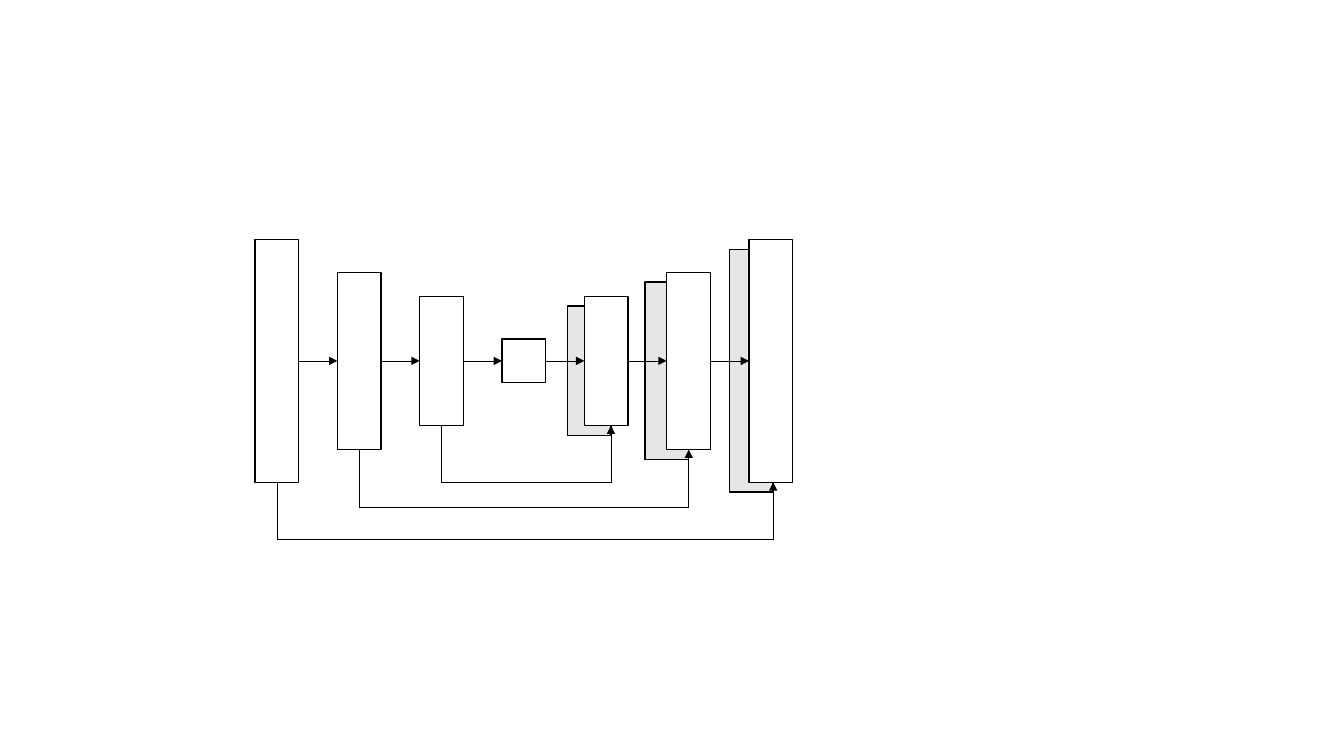
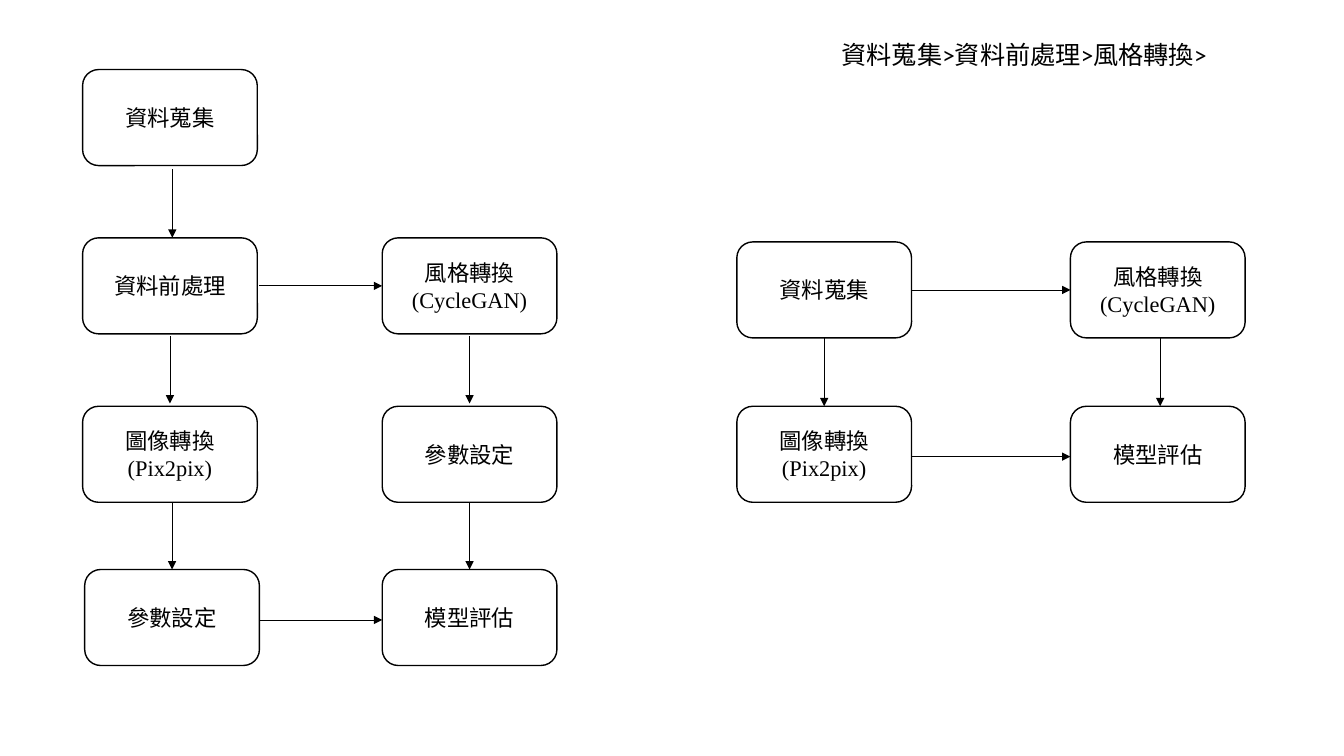
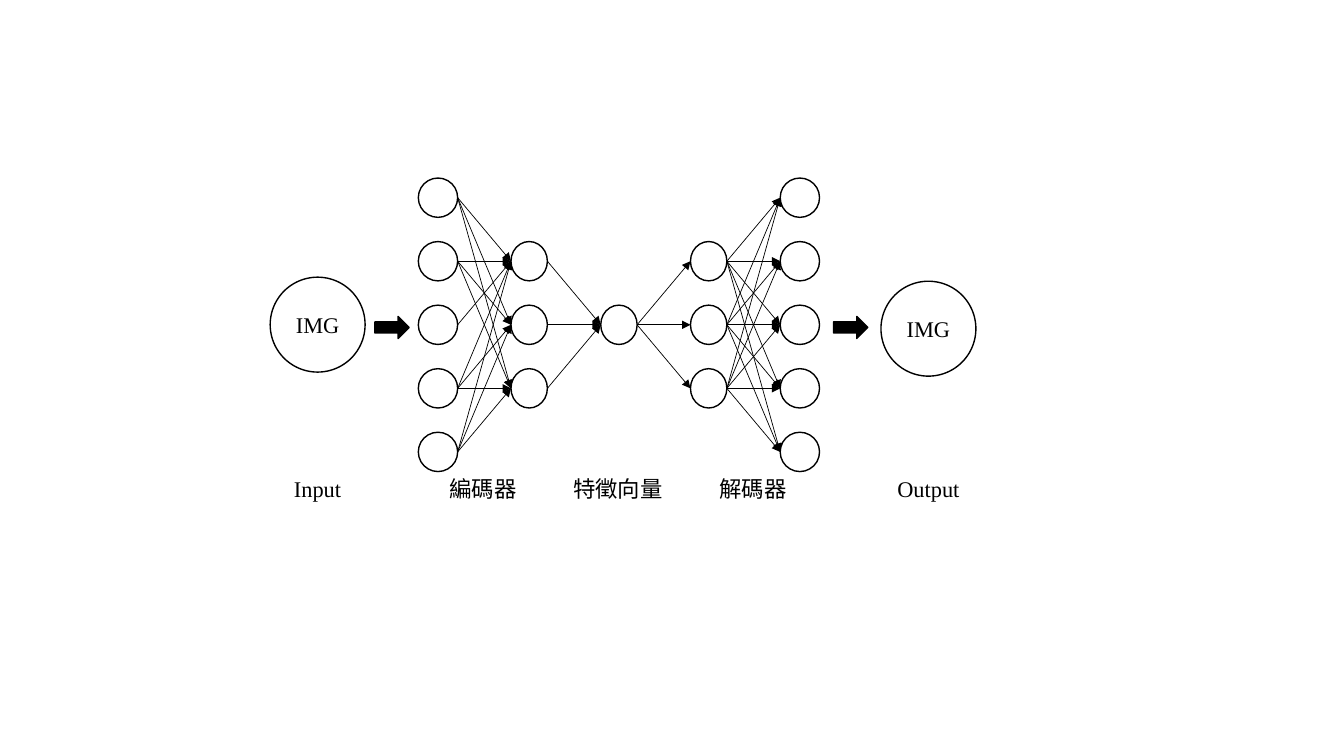
"""Build three diagram slides: skip-connected layers, two workflows and an autoencoder."""
from dataclasses import dataclass
from itertools import pairwise, product

from pptx import Presentation
from pptx.dml.color import RGBColor
from pptx.enum.shapes import MSO_CONNECTOR, MSO_SHAPE
from pptx.enum.text import MSO_ANCHOR, PP_ALIGN
from pptx.oxml.ns import qn
from pptx.util import Pt
from lxml.etree import SubElement


@dataclass(frozen=True)
class Theme:
    ink: RGBColor = RGBColor(0x00, 0x00, 0x00)
    paper: RGBColor = RGBColor(0xFF, 0xFF, 0xFF)
    shade: RGBColor = RGBColor(0xE7, 0xE6, 0xE6)
    latin: str = "Times New Roman"
    chinese: str = "Noto Sans CJK SC"
    note: str = "Calibri"
    body_size: int = 16
    note_size: int = 18
    outline: float = 1
    arrow: float = 0.5


THEME = Theme()

LAYER_HEIGHTS = [173.5, 126.7, 92.2, 31.2, 92.2, 126.7, 173.5]
LAYER_LEFT, LAYER_PITCH, LAYER_WIDTH, LAYER_MIDDLE = 182.2, 58.8, 31.2, 257.8
COPY_SHIFTS = {4: 12.2, 5: 15.4, 6: 13.9}
COPY_DROP, SKIP_DROP = 7, 41

STEP_WIDTH, STEP_HEIGHT = 124.8, 68.6
STYLE_STEP, IMAGE_STEP = "風格轉換\n(CycleGAN)", "圖像轉換\n(Pix2pix)"
STEPS = {
    "collect": ("資料蒐集", 59, 49.7),
    "prepare": ("資料前處理", 59, 169.9),
    "image": (IMAGE_STEP, 59, 290.2),
    "image settings": ("參數設定", 60.5, 406.8),
    "style": (STYLE_STEP, 273, 169.9),
    "style settings": ("參數設定", 273, 290.2),
    "evaluate": ("模型評估", 273, 406.8),
    "short collect": ("資料蒐集", 526.3, 172.8),
    "short style": (STYLE_STEP, 764.6, 172.8),
    "short image": (IMAGE_STEP, 526.3, 290.2),
    "short evaluate": ("模型評估", 764.6, 290.2),
}
DOWN_LINKS = [
    ("collect", "prepare", 1.7, 2.7, 0),
    ("prepare", "image", 0, 1.5, 2),
    ("image", "image settings", 1.7, 0, 0),
    ("style", "style settings", 0, 1.5, 2),
    ("style settings", "evaluate", 0, 0, 0),
    ("short collect", "short image", 0, 0, 0),
    ("short style", "short evaluate", 1.7, 0, 0),
]
ACROSS_LINKS = [
    ("prepare", "style", 0, 1.3, 0),
    ("image settings", "evaluate", 1.7, 0, 0),
    ("short collect", "short style", 0, 0, 0),
    ("short image", "short evaluate", 1.7, 0, 0),
]
NOTE = ("資料蒐集>資料前處理>風格轉換>", 594, 24.5, 278, 29)

NEURON_COLUMNS = [(298.8, 28.1, 5), (365, 26, 3), (429.1, 26, 1), (493.2, 26, 3), (557.3, 28.1, 5)]
NEURON_HEIGHT, NEURON_PITCH, NEURON_MIDDLE = 28.1, 45.4, 232
UNLINKED = {(0, 2, 1), (0, 2, 2)}
IMAGES = [(193, 198), (629.3, 200.9)]
IMAGE_SIZE = 67.8
BLOCK_ARROWS = [267.8, 595.4]
LABELS = [
    ("Input", 226.8, THEME.latin),
    ("編碼器", 345, THEME.chinese),
    ("特徵向量", 441.5, THEME.chinese),
    ("解碼器", 538, THEME.chinese),
    ("Output", 663.2, THEME.latin),
]
LABEL_TOP, LABEL_WIDTH, LABEL_HEIGHT = 335.5, 100, 26.6


def set_text(shape, text, font, size, align=PP_ALIGN.CENTER):
    frame = shape.text_frame
    frame.word_wrap = True
    frame.text = text
    for para in frame.paragraphs:
        para.alignment = align
        for span in para.runs:
            span.font.name = font
            span.font.size = Pt(size)
            span.font.color.rgb = THEME.ink


def add_box(slide, kind, left, top, width, height, fill=THEME.paper, text=None):
    box = slide.shapes.add_shape(kind, Pt(left), Pt(top), Pt(width), Pt(height))
    box.shadow.inherit = False
    box.fill.solid()
    box.fill.fore_color.rgb = fill
    box.line.color.rgb = THEME.ink
    box.line.width = Pt(THEME.outline)
    if text:
        set_text(box, text, THEME.latin, THEME.body_size)
        box.text_frame.vertical_anchor = MSO_ANCHOR.MIDDLE


def add_label(slide, text, left, top, width, height, font, size, align=PP_ALIGN.CENTER):
    label = slide.shapes.add_textbox(Pt(left), Pt(top), Pt(width), Pt(height))
    set_text(label, text, font, size, align)


def add_line(slide, start, end, head=True):
    line = slide.shapes.add_connector(MSO_CONNECTOR.STRAIGHT, *(Pt(value) for value in (*start, *end)))
    line.line.color.rgb = THEME.ink
    line.line.width = Pt(THEME.arrow)
    if head:
        SubElement(line.line._get_or_add_ln(), qn("a:tailEnd"), type="triangle")
    SubElement(line._element.spPr, qn("a:effectLst"))


def build_layers(slide):
    lefts = [LAYER_LEFT + LAYER_PITCH * index for index in range(len(LAYER_HEIGHTS))]
    for index, (left, height) in enumerate(zip(lefts, LAYER_HEIGHTS)):
        top = LAYER_MIDDLE - height / 2
        if index in COPY_SHIFTS:
            add_box(slide, MSO_SHAPE.RECTANGLE, left - COPY_SHIFTS[index], top + COPY_DROP,
                    LAYER_WIDTH, height, THEME.shade)
        add_box(slide, MSO_SHAPE.RECTANGLE, left, top, LAYER_WIDTH, height)
    for left, following in pairwise(lefts):
        add_line(slide, (left + LAYER_WIDTH, LAYER_MIDDLE), (following, LAYER_MIDDLE))
    for index, shift in COPY_SHIFTS.items():
        start = lefts[-1 - index] + LAYER_WIDTH / 2
        end = lefts[index] - shift + LAYER_WIDTH
        bottom = LAYER_MIDDLE + LAYER_HEIGHTS[index] / 2
        low = bottom + SKIP_DROP
        add_line(slide, (start, bottom), (start, low), head=False)
        add_line(slide, (start, low), (end, low), head=False)
        add_line(slide, (end, low), (end, bottom))


def build_workflows(slide):
    for text, left, top in STEPS.values():
        add_box(slide, MSO_SHAPE.ROUNDED_RECTANGLE, left, top, STEP_WIDTH, STEP_HEIGHT, text=text)
    for source, target, shift, start_gap, end_gap in DOWN_LINKS:
        _, left, top = STEPS[source]
        x = left + STEP_WIDTH / 2 + shift
        if source == "image":
            x = STEPS[target][1] + STEP_WIDTH / 2
        add_line(slide, (x, top + STEP_HEIGHT + start_gap), (x, STEPS[target][2] - end_gap))
    for source, target, shift, start_gap, end_gap in ACROSS_LINKS:
        _, left, top = STEPS[source]
        y = top + STEP_HEIGHT / 2 + shift
        add_line(slide, (left + STEP_WIDTH + start_gap, y), (STEPS[target][1] - end_gap, y))
    add_label(slide, *NOTE, THEME.note, THEME.note_size, PP_ALIGN.LEFT)


def build_autoencoder(slide):
    centres = [[NEURON_MIDDLE + NEURON_PITCH * (row - (count - 1) / 2) for row in range(count)]
               for _, _, count in NEURON_COLUMNS]
    for (left, width, _), column in zip(NEURON_COLUMNS, centres):
        for y in column:
            add_box(slide, MSO_SHAPE.OVAL, left, y - NEURON_HEIGHT / 2, width, NEURON_HEIGHT)
    for index, (sources, targets) in enumerate(pairwise(centres)):
        left, width, _ = NEURON_COLUMNS[index]
        end = NEURON_COLUMNS[index + 1][0]
        for (row, y), (target_row, target_y) in product(enumerate(sources), enumerate(targets)):
            if (index, row, target_row) not in UNLINKED:
                add_line(slide, (left + width, y), (end, target_y))
    for left, top in IMAGES:
        add_box(slide, MSO_SHAPE.OVAL, left, top, IMAGE_SIZE, IMAGE_SIZE, text="IMG")
    for left in BLOCK_ARROWS:
        add_box(slide, MSO_SHAPE.RIGHT_ARROW, left, 226, 24.5, 15.8, THEME.ink)
    for text, centre, font in LABELS:
        add_label(slide, text, centre - LABEL_WIDTH / 2, LABEL_TOP, LABEL_WIDTH, LABEL_HEIGHT,
                  font, THEME.body_size)


def main():
    deck = Presentation()
    deck.slide_width, deck.slide_height = Pt(960), Pt(540)
    for build in (build_layers, build_workflows, build_autoencoder):
        build(deck.slides.add_slide(deck.slide_layouts[6]))
    deck.save("out.pptx")


if __name__ == "__main__":
    main()
